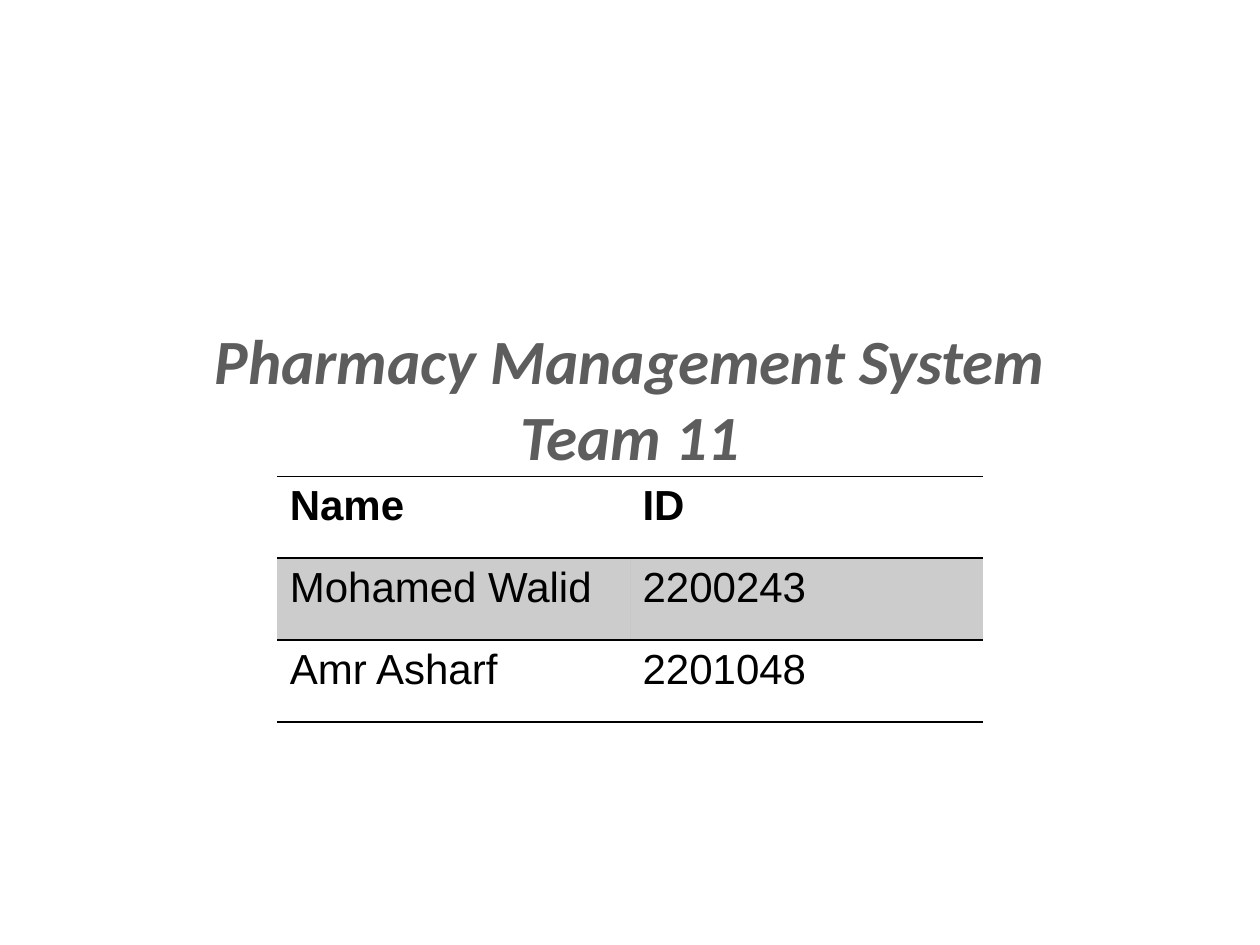
from dataclasses import dataclass

from lxml import etree
from pptx import Presentation
from pptx import util as u
from pptx.dml.color import RGBColor
from pptx.enum import text
from pptx.oxml.ns import qn

WIDTH, HEIGHT = u.Inches(10), u.Inches(7.5)
HEADING = "Pharmacy Management\u00a0System\vTeam 11"
MEMBERS = [("Name", "ID"), ("Mohamed Walid", "2200243"), ("Amr Asharf", "2201048")]
PLAIN_TABLE = "{2D5ABB26-0587-4C30-8999-92F81FD0307C}"


@dataclass(frozen=True)
class Theme:
    """Colours, fonts and type sizes of the slide."""
    heading_color: RGBColor = RGBColor(0x5D, 0x5D, 0x5E)
    ink: RGBColor = RGBColor(0, 0, 0)
    heading_font: str = "Calibri"
    body_font: str = "Arial"
    heading_size: int = u.Pt(36)
    body_size: int = u.Pt(24)
    rule: int = u.Pt(1)
    band_alpha: int = 20000


THEME = Theme()


def share(x, y, w, h):
    """Turn shares of the slide's size into a box."""
    return [round(part * full) for part, full in zip((x, y, w, h), (WIDTH, HEIGHT) * 2)]


def style_runs(paragraph, color, **formats):
    """Apply a colour and font values to every run of a paragraph."""
    for run in paragraph.runs:
        run.font.color.rgb = color
        for key, value in formats.items():
            setattr(run.font, key, value)


def add_heading(slide):
    """Place the heading so that its last line ends halfway down its box."""
    heading = slide.shapes.title
    heading.left, heading.top, heading.width, heading.height = share(0.1, 0.424, 0.8, 0.153)
    frame = heading.text_frame
    frame.text = HEADING
    settings = {
        "auto_size": text.MSO_AUTO_SIZE.NONE,
        "vertical_anchor": text.MSO_ANCHOR.BOTTOM,
        "margin_bottom": heading.height // 2,
        "word_wrap": True,
    }
    for key, value in settings.items():
        setattr(frame, key, value)
    paragraph = frame.paragraphs[0]
    paragraph.alignment = text.PP_ALIGN.CENTER
    style_runs(paragraph, THEME.heading_color, name=THEME.heading_font,
               size=THEME.heading_size, bold=True, italic=True)


def add_border(cell, side, color):
    """Draw a solid rule on one side of a cell, ahead of its fill."""
    properties = cell._tc.get_or_add_tcPr()
    line = etree.Element(qn(f"a:ln{side}"), w=str(THEME.rule))
    fill = etree.SubElement(line, qn("a:solidFill"))
    etree.SubElement(fill, qn("a:srgbClr"), val=str(color))
    properties.insert(len(properties.findall(qn("a:lnT"))), line)


def fill_cell(cell, banded):
    """Give a cell a translucent band or no fill."""
    if not banded:
        cell.fill.background()
        return
    cell.fill.solid()
    cell.fill.fore_color.rgb = THEME.ink
    tint = cell._tc.tcPr.find(f".//{qn('a:srgbClr')}")
    etree.SubElement(tint, qn("a:alpha"), val=str(THEME.band_alpha))


def add_member_table(slide):
    """Add the team table with ruled header, band and closing rule."""
    rows, columns = len(MEMBERS), len(MEMBERS[0])
    table = slide.shapes.add_table(rows, columns, *share(0.22, 0.504, 0.56, 0.26)).table
    table._tbl.tblPr.find(qn("a:tableStyleId")).text = PLAIN_TABLE
    table.horz_banding = False
    for row, member in enumerate(MEMBERS):
        header = row == 0
        sides = {0: "TB", 1: "T", rows - 1: "B"}.get(row, "")
        for column, entry in enumerate(member):
            cell = table.cell(row, column)
            cell.text = entry
            style_runs(cell.text_frame.paragraphs[0], THEME.ink, name=THEME.body_font,
                       size=THEME.body_size, bold=header)
            fill_cell(cell, banded=row % 2 == 1)
            for side in sides:
                add_border(cell, side, THEME.ink)


def main():
    """Build and save the team slide."""
    deck = Presentation()
    deck.slide_width, deck.slide_height = WIDTH, HEIGHT
    slide = deck.slides.add_slide(deck.slide_layouts[0])
    subtitle = slide.placeholders[1].element
    subtitle.getparent().remove(subtitle)
    add_heading(slide)
    add_member_table(slide)
    deck.save("out.pptx")


if __name__ == "__main__":
    main()
